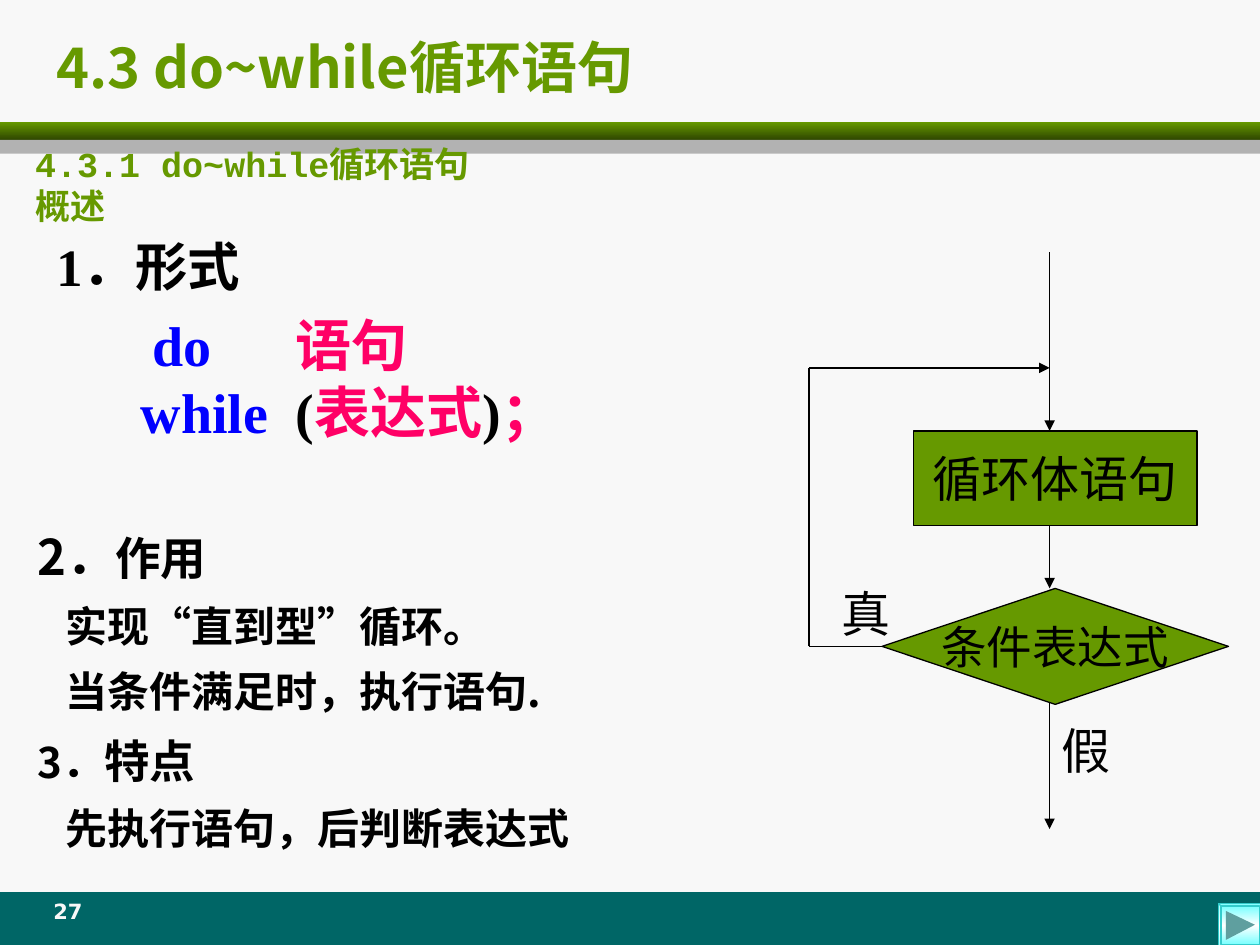
from copy import deepcopy
from dataclasses import dataclass

from pptx import Presentation
from pptx.dml.color import RGBColor
from pptx.enum.shapes import MSO_CONNECTOR as CONN, MSO_SHAPE as SHAPE
from pptx.enum.text import MSO_ANCHOR as ANCHOR, PP_ALIGN as ALIGN
from pptx.oxml.ns import qn
from pptx.util import Inches, Pt
from lxml.etree import SubElement

LEFT = 1  # connection site


@dataclass(frozen=True)
class Theme:
    paper: str = "F8F8F8"
    green: str = "669900"
    dark_green: str = "2F4700"
    teal: str = "006666"
    gray: str = "B2B2B2"
    black: str = "000000"
    keyword: str = "0000FF"
    slot: str = "FF0066"
    cyan: str = "66FFFF"
    white: str = "FFFFFF"
    rim: str = "33CCCC"
    arrow: str = "5F9F9F"
    serif: str = "Times New Roman"
    sans: str = "Noto Sans CJK SC"
    mono: str = "Courier New"
    number: str = "DejaVu Sans"
    title: int = 32
    code: int = 32
    form: int = 30
    large: int = 28
    head: int = 26
    body: int = 24
    subtitle: int = 20
    small: int = 12


T = Theme()


def add_text(p, text, size=T.body, font=T.sans, color=T.black, bold=False):
    r = p.add_run()
    r.text = text
    r.font.size, r.font.name, r.font.bold = Pt(size), font, bold
    r.font.color.rgb = RGBColor.from_string(color)
    SubElement(r.font._element, qn("a:ea")).set("typeface", T.sans)


class SlideBuilder:
    def __init__(self, slide, theme):
        self.s, self.t = slide, theme
        fill = slide.background.fill
        fill.solid()
        fill.fore_color.rgb = RGBColor.from_string(theme.paper)

    def paint(self, sp, colors, line=None):
        """Fill with one colour, or with a top-down gradient of several."""
        sp.shadow.inherit = False
        if len(colors) == 1:
            sp.fill.solid()
            sp.fill.fore_color.rgb = RGBColor.from_string(colors[0])
        else:
            sp.fill.gradient()
            sp.fill.gradient_angle = 270
            stops = sp._element.spPr.find(".//" + qn("a:gsLst"))
            while len(stops) < len(colors):
                stops.append(deepcopy(stops[0]))
            for i, (stop, color) in enumerate(zip(sp.fill.gradient_stops, colors)):
                stop.position = i / (len(colors) - 1)
                stop.color.rgb = RGBColor.from_string(color)
        if line:
            sp.line.color.rgb = RGBColor.from_string(line)
            sp.line.width = Pt(0.75)
        else:
            sp.line.fill.background()

    def shape(self, kind, box, *colors, line=None):
        sp = self.s.shapes.add_shape(kind, *map(Inches, box))
        self.paint(sp, colors, line)
        return sp

    def node(self, kind, box, text, size):
        sp = self.shape(kind, box, self.t.green, line=self.t.black)
        tf = sp.text_frame
        tf.word_wrap, tf.vertical_anchor = False, ANCHOR.MIDDLE
        tf.paragraphs[0].alignment = ALIGN.CENTER
        add_text(tf.paragraphs[0], text, size=size, font=self.t.serif)
        return sp

    def line(self, start, end, finish=None, arrow=True):
        c = self.s.shapes.add_connector(CONN.STRAIGHT, *map(Inches, start + end))
        if finish:
            c.end_connect(*finish)
        c.line.color.rgb = RGBColor.from_string(self.t.black)
        c.line.width = Pt(0.75)
        if arrow:
            SubElement(c.line._get_or_add_ln(), qn("a:tailEnd")).set("type", "triangle")
        SubElement(c._element.spPr, qn("a:effectLst"))

    def polygon(self, points, color):
        start, *rest = [(Inches(x), Inches(y)) for x, y in points]
        fb = self.s.shapes.build_freeform(*start)
        fb.add_line_segments(rest, close=True)
        self.paint(fb.convert_to_shape(), [color])

    def text(self, box, paragraphs, anchor=ANCHOR.TOP, spacing=None, align=None, top=0.05):
        """Each paragraph is (indent, tab stops, [(text, format), ...])."""
        tf = self.s.shapes.add_textbox(*map(Inches, box)).text_frame
        tf.word_wrap, tf.vertical_anchor, tf.margin_top = True, anchor, Inches(top)
        for i, (indent, tabs, runs) in enumerate(paragraphs):
            p = tf.add_paragraph() if i else tf.paragraphs[0]
            pPr = p._p.get_or_add_pPr()
            if indent:
                pPr.set("marL", str(Inches(indent)))
                pPr.set("indent", "0")
            if tabs:
                tab_list = SubElement(pPr, qn("a:tabLst"))
                for pos in tabs:
                    SubElement(tab_list, qn("a:tab"), pos=str(Inches(pos)), algn="l")
            p.alignment, p.line_spacing = align, spacing
            for text, fmt in runs:
                add_text(p, text, **fmt)
        return tf


def main():
    prs = Presentation()
    prs.slide_width, prs.slide_height = Inches(10), Inches(7.5)
    b = SlideBuilder(prs.slides.add_slide(prs.slide_layouts[6]), T)

    # Bands and page number
    b.shape(SHAPE.RECTANGLE, (0, 7.08, 10, 0.42), T.teal)
    b.shape(SHAPE.RECTANGLE, (0, 0.97, 10, 0.14), T.green, T.dark_green)
    b.shape(SHAPE.RECTANGLE, (0, 1.11, 10, 0.11), T.gray)
    number = dict(size=T.small, font=T.number, color=T.paper, bold=True)
    b.text((0.25, 7.08, 0.58, 0.33), [(0, (), [("27", number)])], align=ALIGN.CENTER)

    # Titles
    title = dict(size=T.title, color=T.green, bold=True)
    b.text((0.35, 0.23, 8.72, 0.59), [(0, (), [("4.3 do~while循环语句", title)])],
           anchor=ANCHOR.MIDDLE)
    subtitle = dict(size=T.subtitle, font=T.mono, color=T.green, bold=True)
    b.text((0.18, 1.11, 3.91, 1.03), [(0, (), [("4.3.1 do~while循环语句概述", subtitle)])],
           top=0.02)

    # Syntax of the statement
    form = dict(size=T.form, font=T.serif, bold=True)
    code = dict(form, size=T.code)
    keyword, slot = dict(code, color=T.keyword), dict(code, color=T.slot)
    syntax = b.text((0.35, 1.71, 5.9, 1.88), [
        (0, (), [("1．形式", form)]),
        (0, (0.76, 1.9), [("\tdo\t", keyword), ("语句", slot)]),
        (0, (0.67, 1.9), [("\twhile\t", keyword), ("(", code), ("表达式", slot),
                          (")", code), ("；", slot)]),
    ], spacing=1.2)
    syntax.paragraphs[-1].line_spacing = 1.0

    # Purpose and features
    body = dict(size=T.body, bold=True)
    quote = dict(body, font=T.serif)
    head = dict(quote, size=T.head)
    b.text((0.2, 3.99, 5.92, 2.83), [
        (0, (), [("2．", dict(body, size=T.large)), ("作用", head)]),
        (0.22, (), [("实现", body), ("“", quote), ("直到型", body), ("”", quote),
                    ("循环。", body)]),
        (0.22, (), [("当条件满足时，执行语句.", body)]),
        (0, (), [("3．", body), ("特点", head)]),
        (0.22, (), [("先执行语句，后判断表达式", body)]),
    ], spacing=1.3)

    # Flowchart: the main axis runs slightly left of the node centres
    b.node(SHAPE.RECTANGLE, (7.25, 3.42, 2.25, 0.75), "循环体语句", T.large)
    test = b.node(SHAPE.FLOWCHART_DECISION, (7, 4.67, 2.75, 0.92), "条件表达式", T.head)
    axis, back, merge, middle = 8.33, 6.42, 2.92, 5.13
    for start, end in ((2, 3.42), (4.17, 4.67), (5.58, 6.58)):
        b.line((axis, start), (axis, end))
    b.line((back, middle), (7, middle), finish=(test, LEFT), arrow=False)
    b.line((back, merge), (back, middle), arrow=False)
    b.line((back, merge), (axis, merge))
    label = dict(size=T.large, font=T.serif)
    for text, box in (("真", (6.58, 4.58, 0.67, 0.57)), ("假", (8.33, 5.67, 0.75, 0.57))):
        b.text(box, [(0, (), [(text, label)])])

    # Next button
    button = b.shape(SHAPE.BEVEL, (9.67, 7.17, 0.35, 0.35), T.cyan, T.white, T.cyan,
                     line=T.rim)
    button.adjustments[0] = 0.06
    b.polygon([(9.73, 7.23), (9.96, 7.34), (9.73, 7.46)], T.arrow)

    prs.save("out.pptx")


if __name__ == "__main__":
    main()
